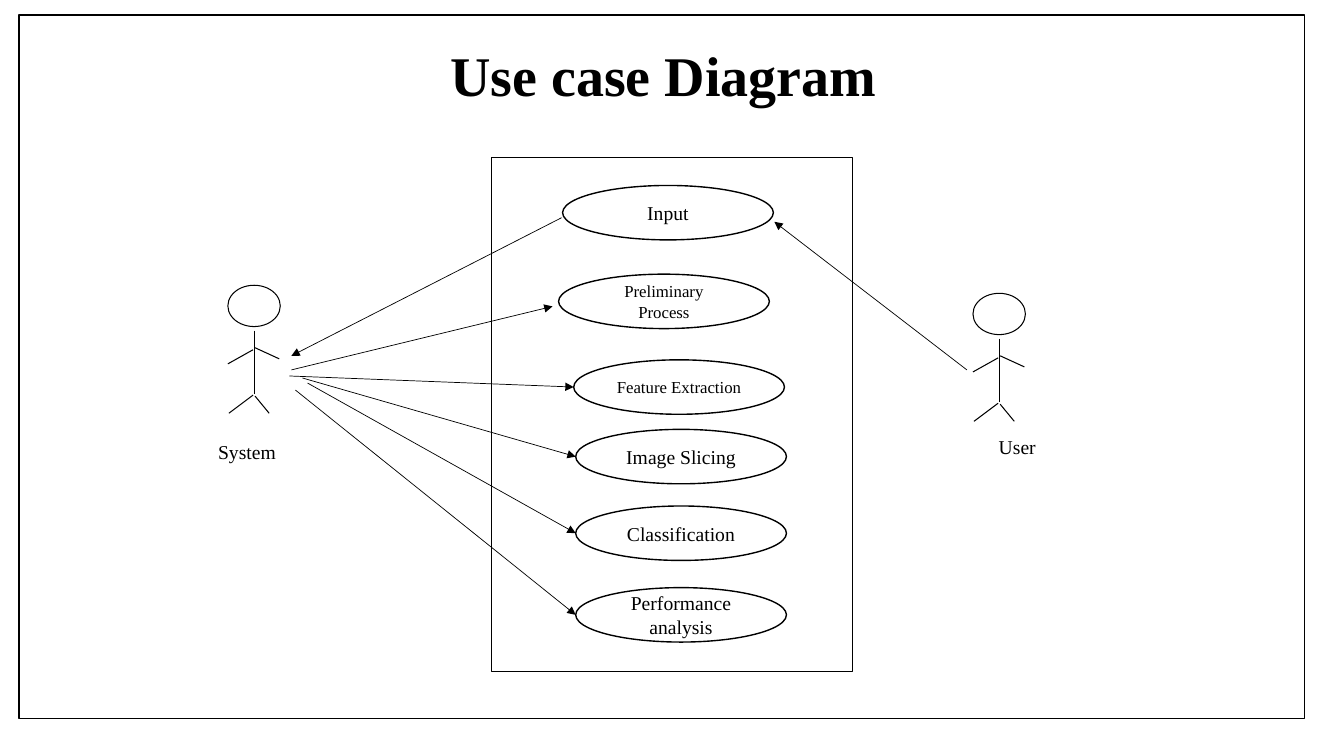
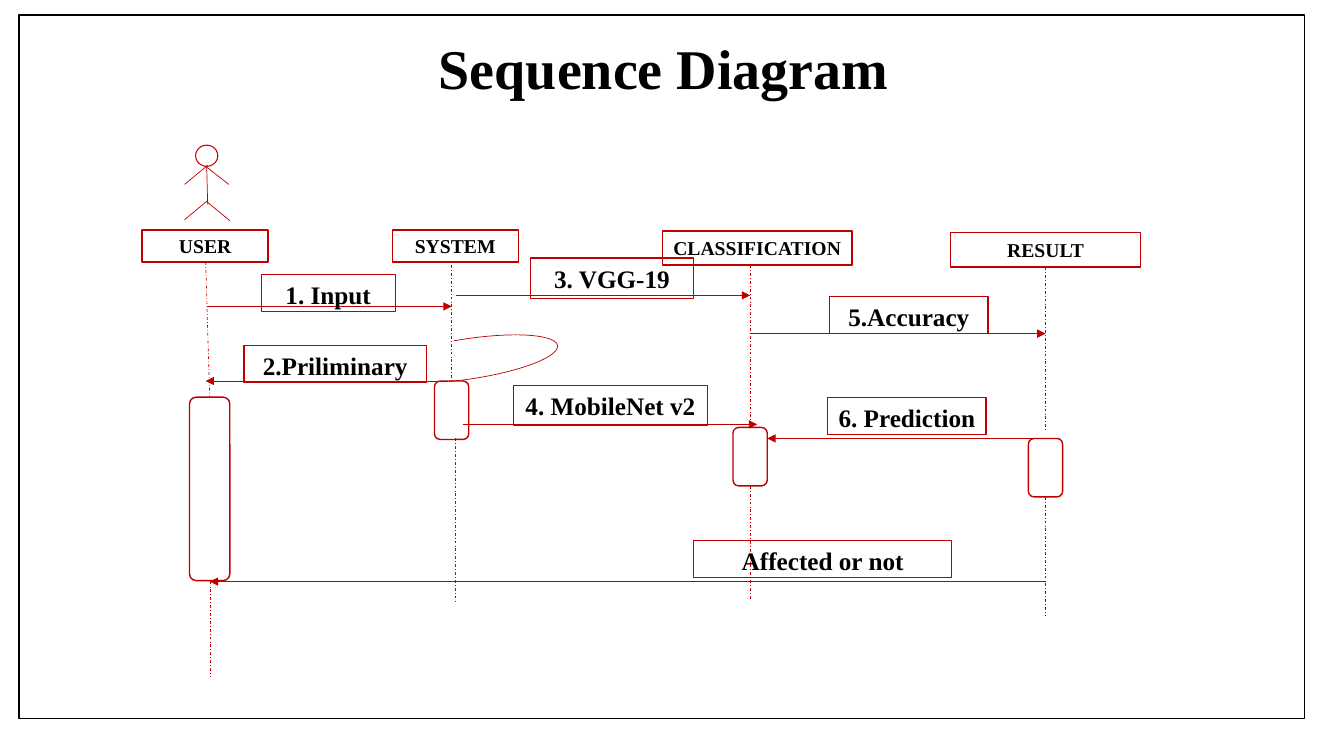
"""Build a use case diagram slide and a sequence diagram slide."""
from lxml.etree import SubElement
from pptx import Presentation
from pptx.dml.color import RGBColor
from pptx.enum.dml import MSO_LINE
from pptx.enum.shapes import MSO_CONNECTOR, MSO_SHAPE
from pptx.enum.text import MSO_ANCHOR, MSO_AUTO_SIZE, PP_ALIGN
from pptx.oxml.ns import qn
from pptx.util import Inches, Pt

BLACK = "000000"
WHITE = "FFFFFF"
RED = "C00000"
FONT = "Times New Roman"
COLUMNS, ROWS = 133.3, 75


def color(value):
    return RGBColor.from_string(value)


def write_text(shape, text, size=14, bold=False, anchor=MSO_ANCHOR.MIDDLE):
    frame = shape.text_frame
    frame.auto_size = MSO_AUTO_SIZE.NONE
    frame.word_wrap = True
    frame.vertical_anchor = anchor
    paragraph = frame.paragraphs[0]
    paragraph.alignment = PP_ALIGN.CENTER
    run = paragraph.add_run()
    run.text = text
    run.font.name = FONT
    run.font.size = Pt(size)
    run.font.bold = bold
    run.font.color.rgb = color(BLACK)


class DiagramDeck:
    def __init__(self):
        self.presentation = Presentation()
        self.presentation.slide_width = Inches(13.33)
        self.presentation.slide_height = Inches(7.5)
        self.cell_width = self.presentation.slide_width / COLUMNS
        self.cell_height = self.presentation.slide_height / ROWS
        self.slide = None
        self.ink = BLACK

    def place(self, column, row):
        return round(column * self.cell_width), round(row * self.cell_height)

    def start_slide(self, title, title_row, ink):
        layout = self.presentation.slide_layouts[5]
        self.slide = self.presentation.slides.add_slide(layout)
        self.ink = BLACK
        self.shape(MSO_SHAPE.RECTANGLE, 1.9, 1.5, 127.5, 69.8)
        self.ink = ink
        heading = self.slide.shapes.title
        heading.left, heading.top = self.place(6.6, title_row)
        heading.width, heading.height = self.place(118.4, 7.7)
        write_text(heading, title, size=40, bold=True, anchor=MSO_ANCHOR.TOP)

    def shape(self, kind, column, row, width, height, weight=1, fill=None):
        shape = self.slide.shapes.add_shape(
            kind, *self.place(column, row), *self.place(width, height))
        shape.shadow.inherit = False
        if fill:
            shape.fill.solid()
            shape.fill.fore_color.rgb = color(fill)
        else:
            shape.fill.background()
        shape.line.color.rgb = color(self.ink)
        shape.line.width = Pt(weight)
        return shape

    def line(self, start, end, weight=0.5, dash=None, arrow=False):
        connector = self.slide.shapes.add_connector(
            MSO_CONNECTOR.STRAIGHT, *self.place(*start), *self.place(*end))
        connector.line.color.rgb = color(self.ink)
        connector.line.width = Pt(weight)
        if dash:
            connector.line.dash_style = dash
        properties = connector.element.spPr
        if arrow:
            SubElement(properties.find(qn("a:ln")), qn("a:tailEnd"), type="triangle")
        SubElement(properties, qn("a:effectLst"))

    def actor(self, column, row, head, limbs, weight):
        self.shape(MSO_SHAPE.OVAL, column, row, *head, weight=0.75)
        for x1, y1, x2, y2 in limbs:
            self.line((column + x1, row + y1), (column + x2, row + y2), weight)

    def caption(self, text, column, row):
        box = self.slide.shapes.add_textbox(
            *self.place(column, row), *self.place(10.6, 2.6))
        write_text(box, text, anchor=MSO_ANCHOR.TOP)

    def use_case(self, text, column, row, size=14):
        oval = self.shape(MSO_SHAPE.OVAL, column, row, 20.9, 5.4, fill=WHITE)
        write_text(oval, text, size=size)

    def participant(self, text, column, row, width, height):
        box = self.shape(MSO_SHAPE.RECTANGLE, column, row, width, height, fill=WHITE)
        write_text(box, text, bold=True)

    def message(self, text, column, row, width, height, start, end):
        self.line(start, end, arrow=True)
        box = self.shape(MSO_SHAPE.RECTANGLE, column, row, width, height, weight=0.75)
        write_text(box, text, size=18, bold=True, anchor=MSO_ANCHOR.TOP)

    def activation(self, column, row, width=3.4, height=5.8):
        self.shape(MSO_SHAPE.ROUNDED_RECTANGLE, column, row, width, height)

    def self_call(self, column, row, width, height):
        arc = self.shape(MSO_SHAPE.ARC, column, row, width, height, weight=0.5)
        arc.rotation = 81.5
        arc.adjustments[0] = 88.93
        arc.adjustments[1] = 30


def build_use_case_slide(deck):
    deck.start_slide("Use case Diagram", 3.5, BLACK)
    deck.shape(MSO_SHAPE.RECTANGLE, 48.7, 15.6, 35.9, 51, weight=0.75)
    limbs = [
        (2.6, 4.5, 2.6, 10.8),
        (2.7, 6.2, 5.1, 7.3),
        (2.5, 6.4, 0, 7.8),
        (2.7, 11, 4.1, 12.7),
        (2.5, 10.9, 0.1, 12.7),
    ]
    for column, row in [(22.6, 28.3), (96.5, 29.1)]:
        deck.actor(column, row, (5.2, 4.1), limbs, 0.75)
    deck.caption("System", 19.2, 43.2)
    deck.caption("User", 95.6, 42.7)
    use_cases = [
        ("Input", 55.8, 18.4, 14),
        ("Preliminary Process", 55.4, 27.2, 12),
        ("Feature Extraction", 56.9, 35.7, 12),
        ("Image Slicing", 57.1, 42.6, 14),
        ("Classification", 57.1, 50.2, 14),
        ("Performance analysis", 57.1, 58.3, 14),
    ]
    for use_case in use_cases:
        deck.use_case(*use_case)
    arrows = [
        ((95.9, 36.7), (76.8, 22)),
        ((55.7, 21.6), (28.9, 35.3)),
        ((28.9, 36.7), (54.8, 30.4)),
        ((28.7, 37.3), (56.9, 38.4)),
        ((30, 37.5), (57.1, 45.3)),
        ((30.5, 38), (57.1, 52.9)),
        ((29.3, 38.7), (57.1, 61)),
    ]
    for start, end in arrows:
        deck.line(start, end, arrow=True)


def build_sequence_slide(deck):
    deck.start_slide("Sequence Diagram", 2.8, RED)
    limbs = [
        (1.1, 2.1, 1.2, 5.9),
        (1.2, 2, -1.1, 3.9),
        (1, 2.1, 3.3, 3.9),
        (1.1, 5.6, 3.4, 7.5),
        (1.2, 5.5, -1.1, 7.4),
    ]
    deck.actor(19.4, 14.4, (2.2, 2.1), limbs, 0.5)
    participants = [
        ("USER", 14.1, 22.8, 12.5, 3.2),
        ("SYSTEM", 38.9, 22.8, 12.5, 3.2),
        ("CLASSIFICATION", 65.7, 22.9, 18.8, 3.4),
        ("RESULT", 94.3, 23.1, 18.8, 3.4),
    ]
    for participant in participants:
        deck.participant(*participant)
    lifelines = [
        ((20.4, 26), (20.8, 39.4)),
        ((20.9, 57.7), (20.9, 67.2)),
        ((44.8, 26.3), (44.8, 37.8)),
        ((45.2, 43.5), (45.2, 59.6)),
        ((74.4, 26.3), (74.4, 42.4)),
        ((74.4, 48.2), (74.4, 59.6)),
        ((103.7, 26.5), (103.7, 42.7)),
        ((103.7, 49.3), (103.7, 61.1)),
    ]
    for start, end in lifelines:
        deck.line(start, end, dash=MSO_LINE.DASH_DOT)
    deck.activation(18.8, 39.4, 4, 18.2)
    for column, row in [(43.1, 37.8), (72.7, 42.4), (102, 43.5)]:
        deck.activation(column, row)
    deck.self_call(44.5, 26.7, 4, 17.8)
    messages = [
        ("1. Input", 25.9, 27.2, 13.3, 3.7, (20.5, 30.4), (44.8, 30.4)),
        ("2.Priliminary", 24.2, 34.3, 18.1, 3.7, (44.4, 37.8), (20.4, 37.8)),
        ("3. VGG-19", 52.6, 25.6, 16.2, 4, (45.2, 29.3), (74.4, 29.3)),
        ("4. MobileNet v2", 50.9, 38.2, 19.3, 4, (45.9, 42.1), (75.1, 42.1)),
        ("5.Accuracy", 82.3, 29.4, 15.7, 3.7, (74.4, 33.1), (103.7, 33.1)),
        ("6. Prediction", 82.1, 39.4, 15.7, 3.7, (103.7, 43.5), (76.1, 43.5)),
        ("Affected or not", 68.8, 53.6, 25.6, 3.7, (103.7, 57.7), (20.8, 57.7)),
    ]
    for message in messages:
        deck.message(*message)


def main():
    deck = DiagramDeck()
    build_use_case_slide(deck)
    build_sequence_slide(deck)
    deck.presentation.save("out.pptx")


if __name__ == "__main__":
    main()
